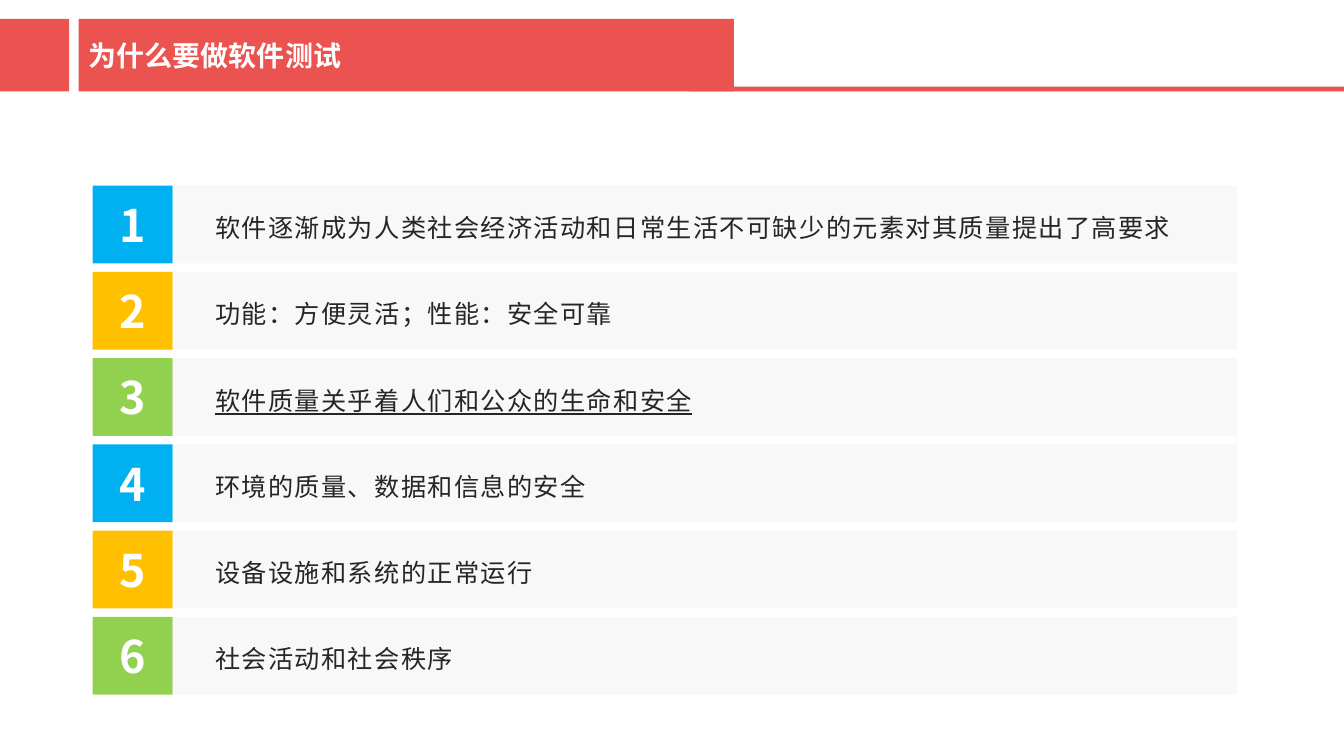
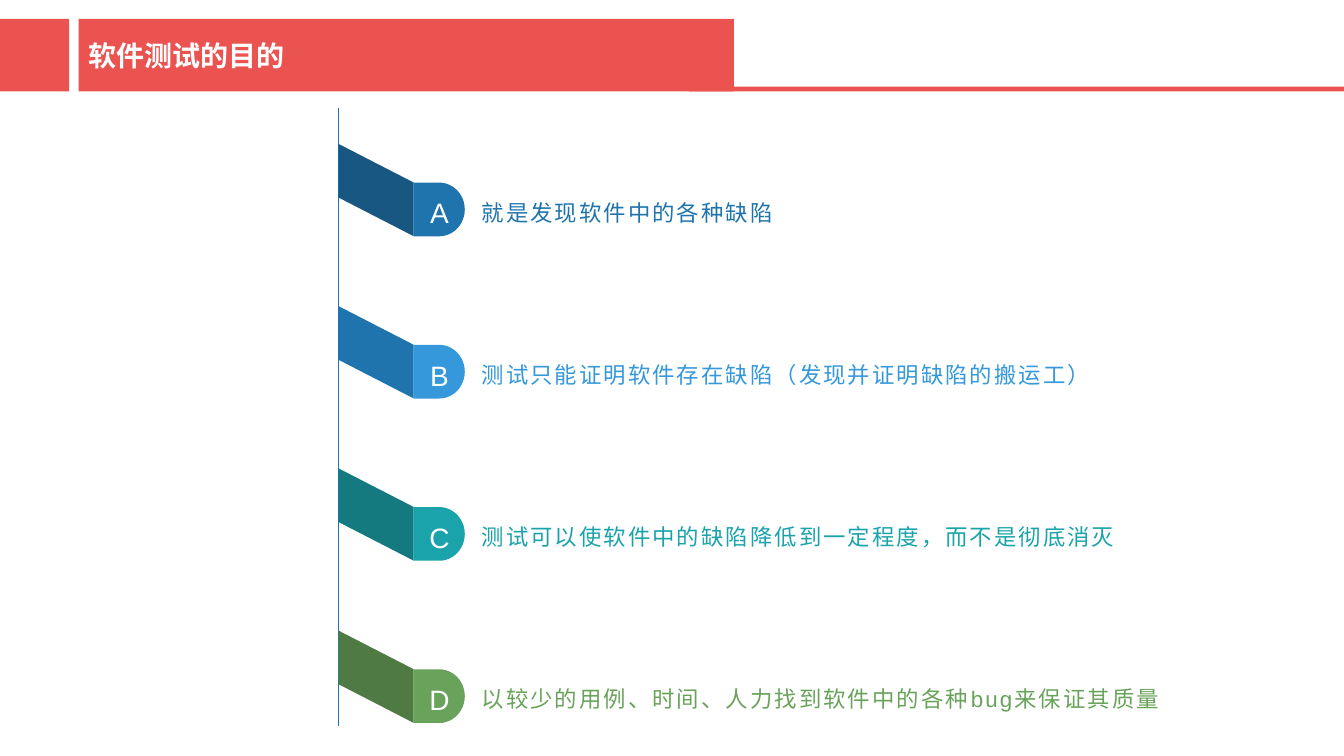
import pptx
import pptx.dml.color
import pptx.enum.shapes
import pptx.enum.text
import pptx.oxml.ns
import pptx.util
import lxml.etree

PRESET = pptx.enum.shapes.MSO_SHAPE
ALIGN = pptx.enum.text.PP_ALIGN

REASONS = [
    "软件逐渐成为人类社会经济活动和日常生活不可缺少的元素对其质量提出了高要求",
    "功能：方便灵活；性能：安全可靠",
    "软件质量关乎着人们和公众的生命和安全",
    "环境的质量、数据和信息的安全",
    "设备设施和系统的正常运行",
    "社会活动和社会秩序",
]
UNDERLINED_REASON = 3
NUMBER_COLORS = ["00B0F0", "FFC000", "92D050"]

PURPOSES = [
    ("A", "就是发现软件中的各种缺陷", "1F74AD", "175782"),
    ("B", "测试只能证明软件存在缺陷（发现并证明缺陷的搬运工）", "3498DB", "1F74AD"),
    ("C", "测试可以使软件中的缺陷降低到一定程度，而不是彻底消灭", "1AA3AA", "147A7F"),
    ("D", "以较少的用例、时间、人力找到软件中的各种bug来保证其质量", "69A35B", "4F7A44"),
]


def rgb(color):
    return pptx.dml.color.RGBColor.from_string(color)


def add_xml(parent, tag, **attributes):
    return lxml.etree.SubElement(parent, pptx.oxml.ns.qn(tag), attributes)


class Deck:
    BRAND = "EB5350"
    PANEL = "F2F2F2"
    WHITE = "FFFFFF"
    INK = "262626"
    BODY_FONT = "Arial"
    HEAD_FONT = "Noto Sans CJK SC"

    def __init__(self):
        self.presentation = pptx.Presentation()
        self.presentation.slide_width = pptx.util.Inches(13.33)
        self.presentation.slide_height = pptx.util.Inches(7.5)
        self.slide = None

    def x(self, percent):
        return round(self.presentation.slide_width * percent / 100)

    def y(self, percent):
        return round(self.presentation.slide_height * percent / 100)

    def area(self, left, top, width, height):
        return self.x(left), self.y(top), self.x(width), self.y(height)

    def new_slide(self, title):
        self.slide = self.presentation.slides.add_slide(self.presentation.slide_layouts[6])
        self.block((0, 2.5, 5.15, 9.6), self.BRAND)
        self.block((51.25, 11.45, 48.75, 0.65), self.BRAND)
        banner = self.block((5.85, 2.5, 48.75, 9.6), self.BRAND)
        self.set_text(banner, title, 20, self.WHITE, font=self.HEAD_FONT, bold=True, inset=0.75)

    def paint(self, shape, color, opacity=100):
        shape.shadow.inherit = False
        shape.line.fill.background()
        shape.fill.solid()
        shape.fill.fore_color.rgb = rgb(color)
        if opacity < 100:
            solid_fill = shape._element.spPr.find(pptx.oxml.ns.qn("a:solidFill"))
            add_xml(solid_fill[0], "a:alpha", val=str(opacity * 1000))
        return shape

    def block(self, area, color, preset=PRESET.RECTANGLE, opacity=100):
        shape = self.slide.shapes.add_shape(preset, *self.area(*area))
        return self.paint(shape, color, opacity)

    def polygon(self, points, color):
        start, *others = [(self.x(left), self.y(top)) for left, top in points]
        builder = self.slide.shapes.build_freeform(*start)
        builder.add_line_segments(others, close=True)
        return self.paint(builder.convert_to_shape(), color)

    def rule(self, start, end, color, width):
        line = self.slide.shapes.add_connector(
            pptx.enum.shapes.MSO_CONNECTOR.STRAIGHT,
            self.x(start[0]), self.y(start[1]), self.x(end[0]), self.y(end[1]))
        line.line.color.rgb = rgb(color)
        line.line.width = pptx.util.Pt(width)
        add_xml(line._element.spPr, "a:effectLst")

    def label(self, area, text, size, color, **style):
        box = self.slide.shapes.add_textbox(*self.area(*area))
        self.set_text(box, text, size, color, **style)

    def set_text(self, shape, text, size, color, font=BODY_FONT, bold=False, underline=False,
                 align=ALIGN.LEFT, spacing=0, line_spacing=1.0, inset=0):
        frame = shape.text_frame
        frame.word_wrap = True
        frame.vertical_anchor = pptx.enum.text.MSO_ANCHOR.MIDDLE
        frame.margin_left = self.x(inset)
        frame.margin_right = frame.margin_top = frame.margin_bottom = 0
        paragraph = frame.paragraphs[0]
        paragraph.text = text
        paragraph.alignment = align
        paragraph.line_spacing = line_spacing
        paragraph.font.name = font
        paragraph.font.size = pptx.util.Pt(size)
        paragraph.font.bold = bold
        paragraph.font.underline = underline
        paragraph.font.color.rgb = rgb(color)
        properties = paragraph._p.get_or_add_pPr().get_or_add_defRPr()
        properties.set("spc", str(round(spacing * 100)))
        add_xml(properties, "a:ea", typeface=self.HEAD_FONT)

    def numbered_row(self, number, text, top):
        left, side, height = 6.9, 5.95, 10.3
        color = NUMBER_COLORS[(number - 1) % len(NUMBER_COLORS)]
        square = self.block((left, top, side, height), color)
        self.set_text(square, str(number), 32, self.WHITE, font=self.HEAD_FONT, bold=True,
                      align=ALIGN.CENTER)
        panel = self.block((left + side, top, 79.2, height), self.PANEL, opacity=50)
        self.set_text(panel, text, 18, self.INK, underline=number == UNDERLINED_REASON,
                      spacing=1, line_spacing=1.2, inset=3.15)

    def ribbon(self, letter, text, color, shade, top):
        left, fold, drop, height = 25.2, 30.78, 5.1, 7.1
        self.polygon([(left, top), (fold, top + drop), (fold, top + drop + height),
                      (left, top + height)], shade)
        tab = self.block((fold, top + drop, 3.8, height), color, PRESET.FLOWCHART_DELAY)
        self.set_text(tab, letter, 20, self.WHITE, align=ALIGN.CENTER, spacing=3,
                      line_spacing=1.2, inset=0.6)
        self.label((35.1, top + drop, 54.15, height), text, 16, color, spacing=1.5,
                   line_spacing=1.2, inset=0.75)


def main():
    deck = Deck()

    deck.new_slide("为什么要做软件测试")
    for index, reason in enumerate(REASONS):
        deck.numbered_row(index + 1, reason, 24.55 + 11.41 * index)

    deck.new_slide("软件测试的目的")
    deck.rule((25.2, 14.3), (25.2, 96), "1F74AD", 0.5)
    for index, purpose in enumerate(PURPOSES):
        deck.ribbon(*purpose, top=19.05 + 21.46 * index)

    deck.presentation.save("out.pptx")


if __name__ == "__main__":
    main()
